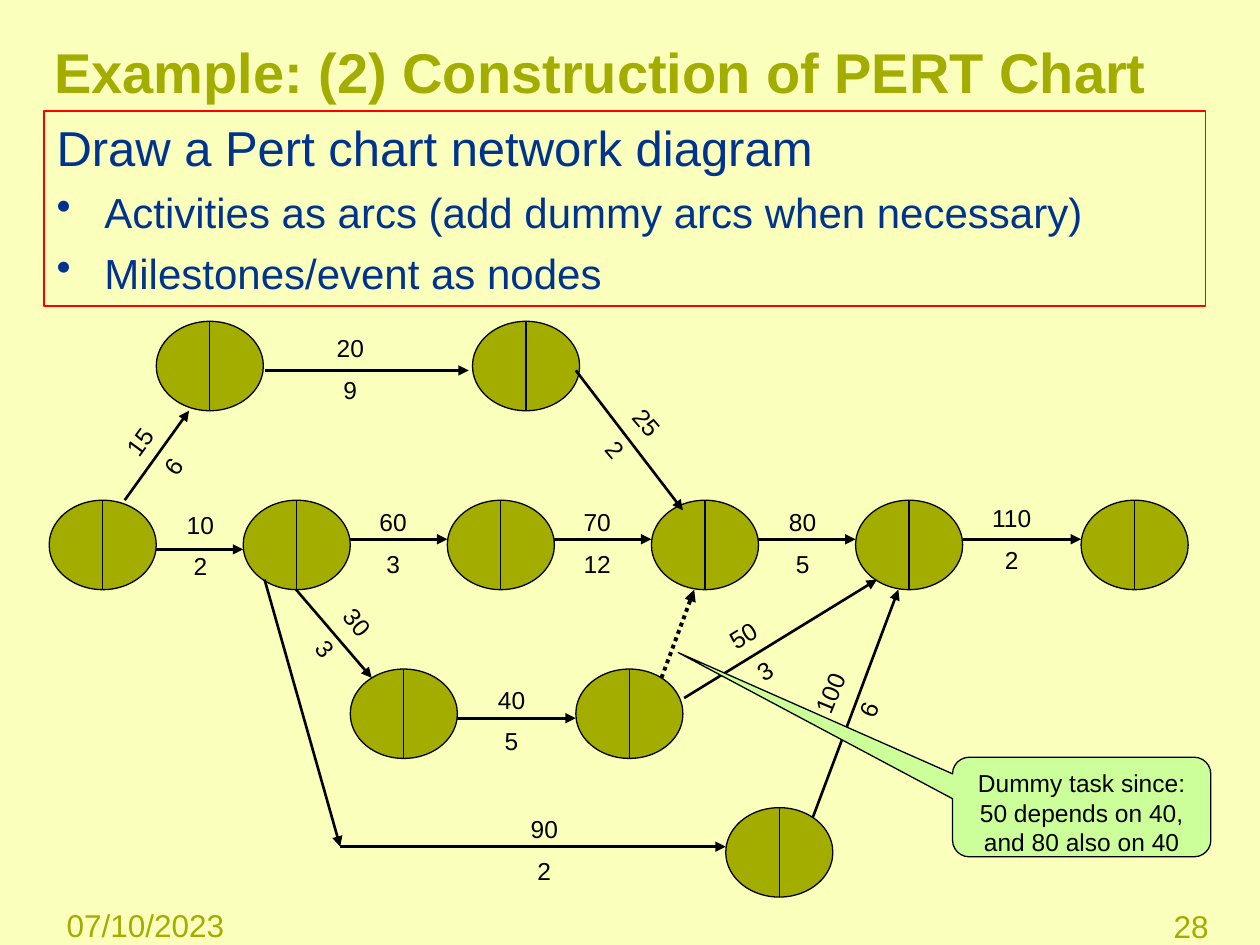
from lxml import etree
from pptx import Presentation, util as u
from pptx.dml.color import RGBColor
from pptx.enum import dml, shapes, text
from pptx.oxml.ns import qn

CREAM, OLIVE, NAVY, BLACK, RED, MINT = "FBFFBC", "A2AD00", "00338E", "000000", "FF0000", "CCFF99"
WIDTH, HEIGHT = 10, 7.5
EVENT_WIDTH, EVENT_HEIGHT = 0.85, 0.71
LABEL_HEIGHT = 0.69

TITLE = "Example: (2) Construction of PERT Chart"
DATE, PAGE = "07/10/2023", "28"
HEADING = "Draw a Pert chart network diagram"
POINTS = ["Activities as arcs (add dummy arcs when necessary)", "Milestones/event as nodes"]
DUMMY_NOTE = "Dummy task since: 50 depends on 40, and 80 also on 40"

EVENT_ROWS = [
    (2.55, [1.24, 3.75]),
    (3.97, [0.39, 1.93, 3.55, 5.17, 6.79, 8.58]),
    (5.31, [2.78, 4.57]),
    (6.41, [5.76]),
]
# activity, duration, arc start, arc end, label centre, label turn
ACTIVITIES = [
    ("15", "6", (0.99, 3.97), (1.5, 3.26), (1.25, 3.61), 306.3),
    ("20", "9", (2.1, 2.94), (3.72, 2.94), (2.78, 2.94), 0),
    ("10", "2", (1.24, 4.36), (1.93, 4.36), (1.59, 4.34), 0),
    ("60", "3", (2.78, 4.28), (3.55, 4.28), (3.12, 4.32), 0),
    ("30", "3", (2.35, 4.68), (2.95, 5.38), (2.7, 5.05), 50.5),
    ("90", "2", (2.7, 6.72), (5.76, 6.72), (4.32, 6.76), 0),
    ("40", "5", (3.63, 5.7), (4.57, 5.7), (4.06, 5.73), 0),
    ("25", "2", (4.57, 2.94), (5.42, 4.05), (5, 3.47), 49.7),
    ("70", "12", (4.4, 4.28), (5.17, 4.28), (4.74, 4.32), 0),
    ("80", "5", (6.02, 4.28), (6.79, 4.28), (6.37, 4.32), 0),
    ("110", "2", (7.64, 4.28), (8.58, 4.28), (8.03, 4.29), 0),
    ("50", "3", (5.43, 5.54), (6.96, 4.6), (5.99, 5.19), 328.5),
    ("100", "6", (6.45, 6.49), (7.13, 4.68), (6.75, 5.57), 292.2),
]
LEAD_IN = ((2.1, 4.6), (2.7, 6.72))
DUMMY_ARC = ((5.25, 5.38), (5.51, 4.68))

deck = Presentation()
deck.slide_width, deck.slide_height = u.Inches(WIDTH), u.Inches(HEIGHT)
slide = deck.slides.add_slide(deck.slide_layouts[6])


def color(code):
    return RGBColor.from_string(code)


def outline(preset, box, fill=None, line=None):
    shape = slide.shapes.add_shape(preset, *map(u.Inches, box))
    shape.shadow.inherit = False
    if fill:
        shape.fill.solid()
        shape.fill.fore_color.rgb = color(fill)
    else:
        shape.fill.background()
    if line:
        shape.line.color.rgb = color(line)
        shape.line.width = u.Pt(0.75)
    else:
        shape.line.fill.background()
    return shape


def write(frame, lines, size=14, ink=BLACK, bold=False, align="LEFT", anchor="TOP",
          before=0, left=0.1):
    frame.word_wrap = True
    frame.vertical_anchor = getattr(text.MSO_ANCHOR, anchor)
    frame.margin_left = u.Inches(left)
    for index, words in enumerate(lines):
        paragraph = frame.paragraphs[0] if index == 0 else frame.add_paragraph()
        paragraph.alignment = getattr(text.PP_ALIGN, align)
        if index:
            paragraph.space_before = u.Pt(before)
        run = paragraph.add_run()
        run.text = words
        run.font.name, run.font.size, run.font.bold = "Arial", u.Pt(size), bold
        run.font.color.rgb = color(ink)


def text_box(box, lines, turn=0, **style):
    area = slide.shapes.add_textbox(*map(u.Inches, box))
    area.rotation = turn
    write(area.text_frame, lines, **style)


def connect(start, end, width=1.5, arrow=True, dotted=False):
    line = slide.shapes.add_connector(
        shapes.MSO_CONNECTOR.STRAIGHT, *map(u.Inches, (*start, *end)))
    line.line.color.rgb = color(BLACK)
    line.line.width = u.Pt(width)
    if dotted:
        line.line.dash_style = dml.MSO_LINE.ROUND_DOT
    if arrow:
        etree.SubElement(line.line._get_or_add_ln(), qn("a:tailEnd"), type="triangle")
    etree.SubElement(line._element.spPr, qn("a:effectLst"))


slide.background.fill.solid()
slide.background.fill.fore_color.rgb = color(CREAM)

title = outline(shapes.MSO_SHAPE.RECTANGLE, (0.43, 0.21, 9.25, 0.71), CREAM)
write(title.text_frame, [TITLE], size=32, ink=OLIVE, bold=True, anchor="MIDDLE", left=0)
text_box((0.43, 7.14, 1.87, 0.36), [DATE], size=18, ink=OLIVE)
text_box((8.85, 7.15, 0.84, 0.36), [PAGE], size=18, ink=OLIVE, align="RIGHT")

for top, lefts in EVENT_ROWS:
    for left in lefts:
        outline(shapes.MSO_SHAPE.OVAL, (left, top, EVENT_WIDTH, EVENT_HEIGHT), OLIVE, BLACK)
        middle = left + EVENT_WIDTH / 2
        connect((middle, top + EVENT_HEIGHT), (middle, top), width=0.75, arrow=False)

connect(*LEAD_IN)
connect(*DUMMY_ARC, width=2.25, dotted=True)
for activity, duration, start, end, (x, y), turn in ACTIVITIES:
    connect(start, end)
    label_width = 0.6 if len(activity) > 2 else 0.51
    text_box((x - label_width / 2, y - LABEL_HEIGHT / 2, label_width, LABEL_HEIGHT),
             [activity, duration], turn, align="CENTER", before=7)

callout = outline(shapes.MSO_SHAPE.ROUNDED_RECTANGULAR_CALLOUT, (7.56, 6.01, 2.05, 0.79), MINT, BLACK)
for index, value in enumerate((-1.562, -1.551, 0.167)):
    callout.adjustments[index] = value
write(callout.text_frame, [DUMMY_NOTE], align="CENTER")

brief = outline(shapes.MSO_SHAPE.RECTANGLE, (0.35, 0.88, 9.22, 1.55), line=RED)
write(brief.text_frame, [HEADING, *POINTS], size=24, ink=NAVY, before=6)
heading, *points = brief.text_frame.paragraphs
heading.runs[0].font.size = u.Pt(28)
for point in points:
    properties = point._p.get_or_add_pPr()
    properties.set("marL", str(u.Inches(0.38)))
    properties.set("indent", str(u.Inches(-0.38)))
    etree.SubElement(properties, qn("a:buChar"), char="•")

deck.save("out.pptx")
